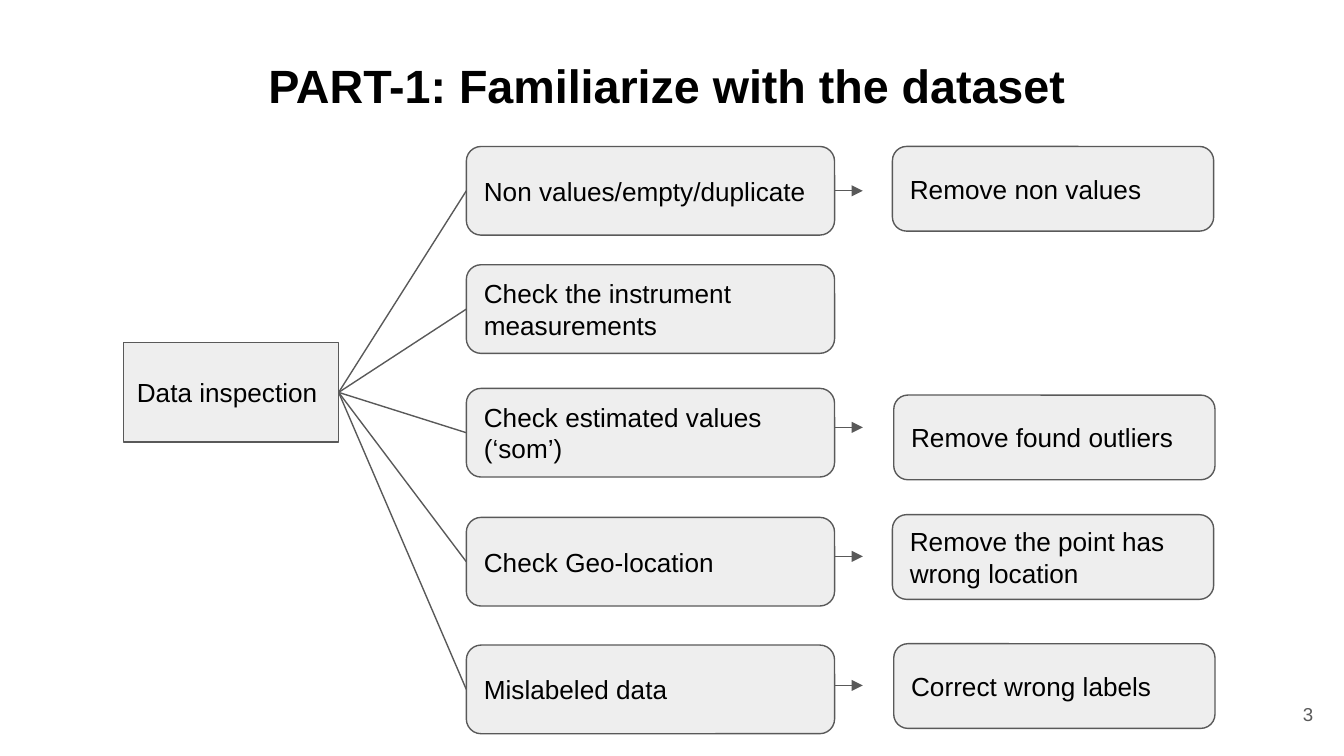
from lxml import etree
from pptx import Presentation
from pptx.dml.color import RGBColor
from pptx.enum.shapes import MSO_CONNECTOR, MSO_SHAPE
from pptx.enum.text import MSO_ANCHOR, PP_ALIGN
from pptx.oxml.ns import qn
from pptx.util import Inches, Pt

RECT, ROUNDED = MSO_SHAPE.RECTANGLE, MSO_SHAPE.ROUNDED_RECTANGLE
STRAIGHT, MIDDLE = MSO_CONNECTOR.STRAIGHT, MSO_ANCHOR.MIDDLE
LEFT, CENTER, RIGHT = PP_ALIGN.LEFT, PP_ALIGN.CENTER, PP_ALIGN.RIGHT
LEFT_SIDE, RIGHT_SIDE = 1, 3

COLORS = {"background": "FFFFFF", "text": "000000", "box": "EEEEEE", "line": "595959"}
FONT = "Arial"

TITLE = "PART-1: Familiarize with the dataset"
PAGE_NUMBER = "3"
ROOT = "Data inspection"
# check, its top, and its action: (text, left, top, arrow height)
CHECKS = [
    ("Non values/empty/duplicate", 1.09, ("Remove non values", 6.64, 1.09, 1.42)),
    ("Check the instrument measurements", 1.97, None),
    ("Check estimated values (‘som’)", 2.89, ("Remove found outliers", 6.65, 2.94, 3.18)),
    ("Check Geo-location", 3.85, ("Remove the point has wrong location", 6.64, 3.83, 4.14)),
    ("Mislabeled data", 4.8, ("Correct wrong labels", 6.65, 4.79, 5.1)),
]

SLIDE_WIDTH = Inches(10)
SLIDE_HEIGHT = SLIDE_WIDTH * 9 // 16
ROOT_BOX = (0.92, 2.55, 1.6, 0.74)
CHECK_LEFT, CHECK_WIDTH, CHECK_HEIGHT = 3.47, 2.74, 0.66
ACTION_WIDTH, ACTION_HEIGHT = 2.39, 0.63
CHECK_RIGHT = CHECK_LEFT + CHECK_WIDTH
ARROW_LENGTH = 0.21


def rgb(name):
    return RGBColor.from_string(COLORS[name])


def write(shape, text, size=14, color="text", bold=False, align=LEFT):
    frame = shape.text_frame
    frame.word_wrap = True
    frame.vertical_anchor = MIDDLE
    frame.margin_left = frame.margin_right = Inches(0.1)
    frame.margin_top = frame.margin_bottom = Inches(0.1)
    paragraph = frame.paragraphs[0]
    paragraph.alignment = align
    run = paragraph.add_run()
    run.text = text
    run.font.name = FONT
    run.font.size = Pt(size)
    run.font.bold = bold
    run.font.color.rgb = rgb(color)


def add_label(slide, box, text, **text_format):
    write(slide.shapes.add_textbox(*map(Inches, box)), text, **text_format)


def add_box(slide, kind, box, text):
    shape = slide.shapes.add_shape(kind, *map(Inches, box))
    shape.shadow.inherit = False
    shape.fill.solid()
    shape.fill.fore_color.rgb = rgb("box")
    shape.line.color.rgb = rgb("line")
    shape.line.width = Pt(0.75)
    write(shape, text)
    return shape


def add_line(slide, start=(0, 0), end=(0, 0), arrow=False):
    connector = slide.shapes.add_connector(STRAIGHT, *map(Inches, (*start, *end)))
    connector.line.color.rgb = rgb("line")
    connector.line.width = Pt(0.75)
    if arrow:
        outline = connector._element.spPr.find(qn("a:ln"))
        etree.SubElement(outline, qn("a:tailEnd"), type="triangle")
    etree.SubElement(connector._element.spPr, qn("a:effectLst"))
    return connector


def main():
    deck = Presentation()
    deck.slide_width, deck.slide_height = SLIDE_WIDTH, SLIDE_HEIGHT
    slide = deck.slides.add_slide(deck.slide_layouts[6])
    slide.background.fill.solid()
    slide.background.fill.fore_color.rgb = rgb("background")

    add_label(slide, (0.3, 0.17, 9.32, 0.92), TITLE, size=25, bold=True, align=CENTER)
    add_label(slide, (9.27, 5.1, 0.6, 0.43), PAGE_NUMBER, size=10, color="line", align=RIGHT)

    root = add_box(slide, RECT, ROOT_BOX, ROOT)
    for text, top, action in CHECKS:
        check = add_box(slide, ROUNDED, (CHECK_LEFT, top, CHECK_WIDTH, CHECK_HEIGHT), text)
        branch = add_line(slide)
        branch.begin_connect(root, RIGHT_SIDE)
        branch.end_connect(check, LEFT_SIDE)
        if action is None:
            continue
        action_text, left, action_top, arrow_y = action
        add_box(slide, ROUNDED, (left, action_top, ACTION_WIDTH, ACTION_HEIGHT), action_text)
        arrow = add_line(slide, (CHECK_RIGHT, arrow_y),
                         (CHECK_RIGHT + ARROW_LENGTH, arrow_y), arrow=True)
        if abs(arrow_y - top - CHECK_HEIGHT / 2) < 0.01:
            arrow.begin_connect(check, RIGHT_SIDE)

    deck.save("out.pptx")


if __name__ == "__main__":
    main()
